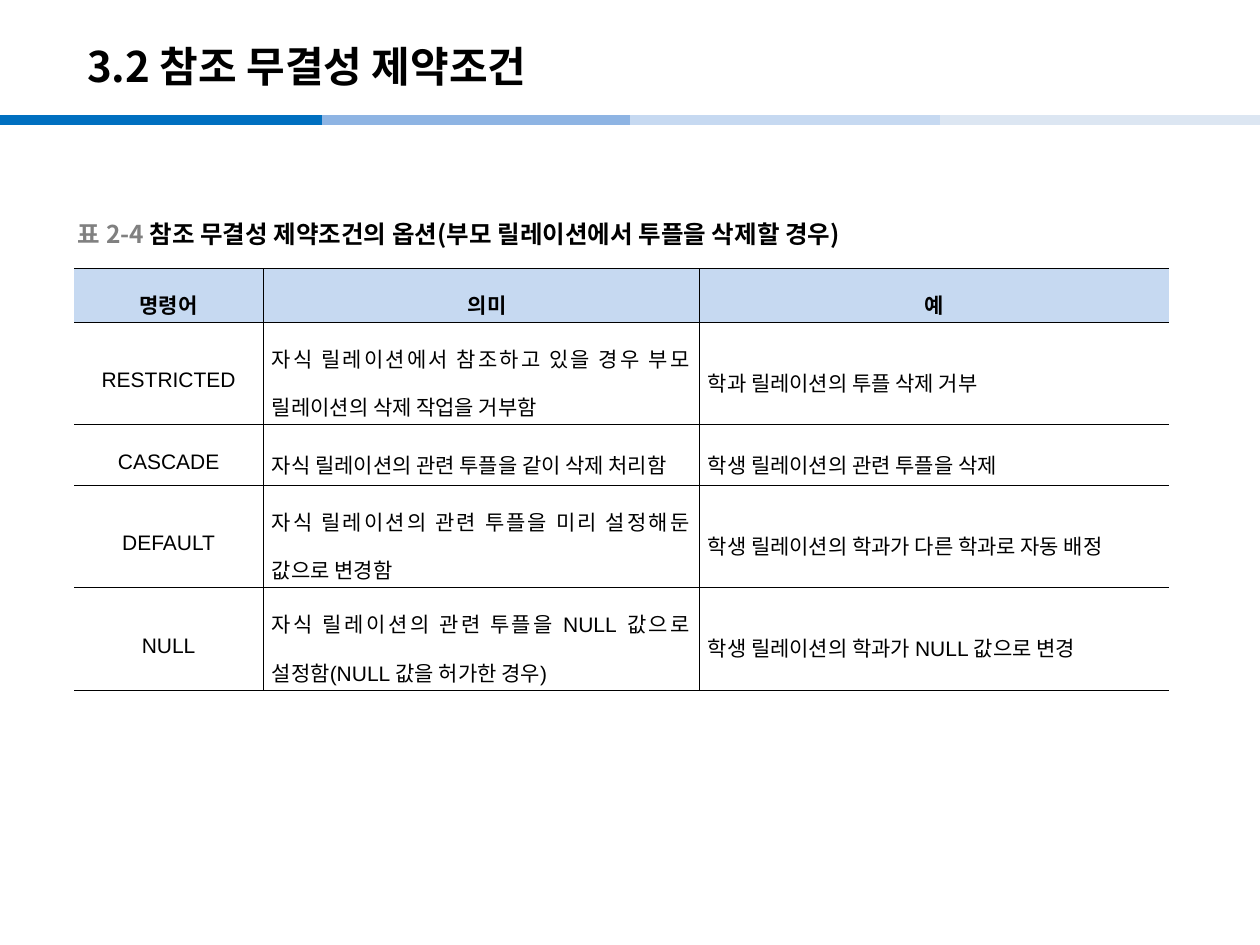
from lxml import etree
from pptx import Presentation, util as u
from pptx.dml import color
from pptx.enum import shapes, text
from pptx.oxml import ns

SANS = "Noto Sans CJK KR"
BODY = "Arial"
INK = "000000"
GREY = "808080"
HEAD = "C6D9F1"
BARS = [(0, "0070C0"), (6.5, "8EB4E3"), (12.7, "C6D9F1"), (18.95, "DCE6F2")]
COLS = [3.8, 8.79, 9.48]
ROWS = [0.56, 1.78, 1.22, 1.42, 1.78]
CELLS = [
    ("명령어", "의미", "예"),
    ("RESTRICTED", "자식 릴레이션에서 참조하고 있을 경우 부모 릴레이션의 삭제 작업을 거부함",
     "학과 릴레이션의 투플 삭제 거부"),
    ("CASCADE", "자식 릴레이션의 관련 투플을 같이 삭제 처리함",
     "학생 릴레이션의 관련 투플을 삭제"),
    ("DEFAULT", "자식 릴레이션의 관련 투플을 미리 설정해둔 값으로 변경함",
     "학생 릴레이션의 학과가 다른 학과로 자동 배정"),
    ("NULL", "자식 릴레이션의 관련 투플을 NULL 값으로 설정함(NULL 값을 허가한 경우)",
     "학생 릴레이션의 학과가 NULL 값으로 변경"),
]


def rgb(code):
    return color.RGBColor.from_string(code)


def sub(node, tag, **attrs):
    return etree.SubElement(node, ns.qn(tag), attrs)


class Deck:
    def __init__(self):
        self.prs = Presentation()
        self.prs.slide_width, self.prs.slide_height = u.Cm(25.4), u.Cm(19.05)
        self.slide = self.prs.slides.add_slide(self.prs.slide_layouts[5])

    def style(self, para, size, face=SANS, bold=True, ink=INK):
        font = para.font
        font.size, font.bold, font.name = u.Pt(size), bold, face
        font.color.rgb = rgb(ink)
        # East Asian text always takes the Korean face
        latin = para._p.pPr.find(".//" + ns.qn("a:latin"))
        east = etree.Element(ns.qn("a:ea"), typeface=SANS)
        latin.addnext(east)

    def title(self, words, x, y, w, h):
        box = self.slide.shapes.title
        box.left, box.top, box.width, box.height = map(u.Cm, (x, y, w, h))
        box.text_frame.text = words
        box.text_frame.vertical_anchor = text.MSO_ANCHOR.MIDDLE
        para = box.text_frame.paragraphs[0]
        para.alignment = text.PP_ALIGN.LEFT
        self.style(para, 24)

    def bar(self, x, y, w, ink):
        line = self.slide.shapes.add_connector(
            shapes.MSO_CONNECTOR.STRAIGHT, *map(u.Cm, (x, y, x + w, y)))
        line.line.color.rgb, line.line.width = rgb(ink), u.Pt(6)
        sub(line._element.spPr, "a:effectLst")

    def label(self, parts, x, y, w, h):
        box = self.slide.shapes.add_textbox(*map(u.Cm, (x, y, w, h)))
        frame = box.text_frame
        frame.word_wrap = True
        frame.vertical_anchor = text.MSO_ANCHOR.MIDDLE
        para = frame.paragraphs[0]
        self.style(para, 14)
        for words, ink in parts:
            run = para.add_run()
            run.text, run.font.color.rgb = words, rgb(ink)

    def edge(self, cell, side, shown):
        line = sub(cell._tc.get_or_add_tcPr(), "a:ln" + side, w="3556")
        if shown:
            sub(sub(line, "a:solidFill"), "a:srgbClr", val=INK)
        else:
            sub(line, "a:noFill")

    def cell(self, cell, words, head, first, last):
        cell.text = words
        cell.vertical_anchor = text.MSO_ANCHOR.MIDDLE
        cell.margin_left = cell.margin_right = u.Cm(0.18)
        cell.margin_top = cell.margin_bottom = u.Cm(0.05)
        para = cell.text_frame.paragraphs[0]
        para.alignment = (text.PP_ALIGN.CENTER if head or first
                          else text.PP_ALIGN.JUSTIFY)
        para.line_spacing = 1.6
        if head and not (first or last):
            para._p.pPr.set("marL", str(u.Cm(0.25)))
        self.style(para, 12, BODY, head)
        # Open at the outer sides, ruled everywhere else
        for side, shown in zip("LRTB", (not first, not last, True, True)):
            self.edge(cell, side, shown)
        if head:
            cell.fill.solid()
            cell.fill.fore_color.rgb = rgb(HEAD)
        else:
            cell.fill.background()

    def table(self, rows, x, y, cols, highs):
        grid = self.slide.shapes.add_table(
            len(rows), len(cols),
            *map(u.Cm, (x, y, sum(cols), sum(highs)))).table
        grid.first_row = grid.horz_banding = False
        for col, wide in zip(grid.columns, cols):
            col.width = u.Cm(wide)
        for row, high in zip(grid.rows, highs):
            row.height = u.Cm(high)
        for r, row in enumerate(rows):
            for c, words in enumerate(row):
                self.cell(grid.cell(r, c), words, r == 0, c == 0,
                          c == len(cols) - 1)


def main():
    deck = Deck()
    # Heading with its colour band
    for x, ink in BARS:
        deck.bar(x, 2.42, 6.5, ink)
    deck.title("3.2 참조 무결성 제약조건", 1.5, 0.56, 21, 1.52)
    # Options table with its caption
    deck.table(CELLS, 1.5, 5.41, COLS, ROWS)
    deck.label([("표 2-4 ", GREY),
                ("참조 무결성 제약조건의 옵션(부모 릴레이션에서 투플을 삭제할 경우)", INK)],
               1.32, 4.32, 17.5, 0.79)
    deck.prs.save("out.pptx")


if __name__ == "__main__":
    main()
